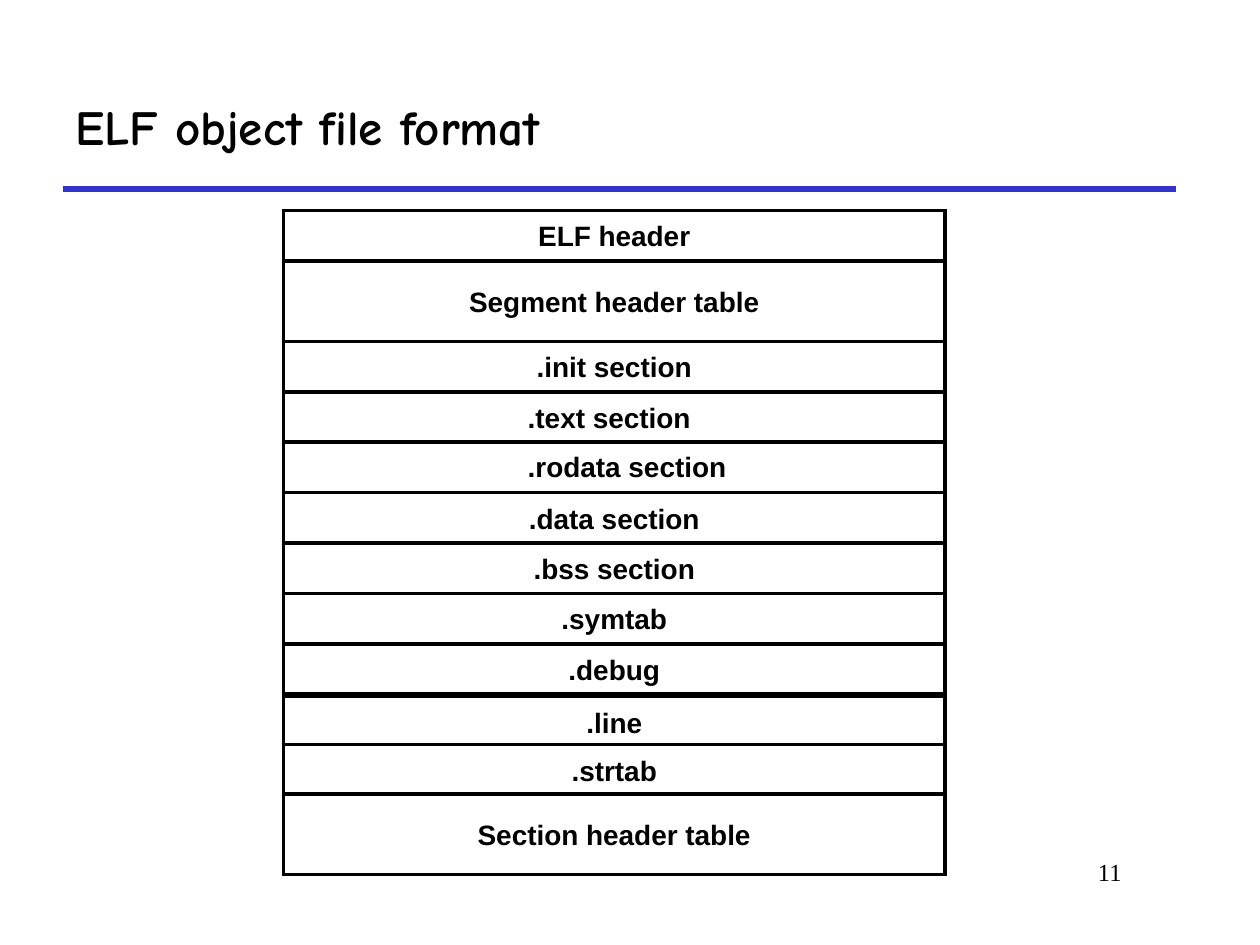
from lxml.etree import SubElement
from pptx import Presentation
from pptx.dml.color import RGBColor
from pptx.enum.shapes import MSO_CONNECTOR as CONN, MSO_SHAPE as SHAPE
from pptx.enum.text import MSO_ANCHOR as ANCHOR, MSO_AUTO_SIZE as FIT, PP_ALIGN as ALIGN
from pptx.oxml.ns import qn
from pptx.util import Inches, Pt

BLACK = RGBColor(0x00, 0x00, 0x00)
WHITE = RGBColor(0xFF, 0xFF, 0xFF)
BLUE = RGBColor(0x33, 0x33, 0xCC)

TITLE_FONT = {"name": "Comic Neue", "size": Pt(28), "bold": True}
ROW_FONT = {"name": "Arial", "size": Pt(16), "bold": True}
NUMBER_FONT = {"name": "Times New Roman", "size": Pt(14), "bold": False}

LEFT, TOP, WIDTH = 2.25, 1.67, 5.25
LOW, HIGH = 0.4, 0.64
ROWS = [
    ("ELF header", LOW, 0),
    ("Segment header table", HIGH, 0),
    (".init section", LOW, 0),
    ("", LOW, 0),
    ("", LOW, 0),
    (".data section", LOW, 0),
    (".bss section", LOW, 0),
    (".symtab", LOW, 0),
    (".debug", LOW, 0),
    (".line", LOW, 0.02),
    (".strtab", LOW, 0),
    ("Section header table", HIGH, -0.01),
]
LABELS = [
    (".rodata section", 3.52, 1.8),
    (".text section", 3.13, 1.5),
]


def set_text(sp, text, font, align=ALIGN.LEFT, anchor=ANCHOR.MIDDLE,
             wrap=True, fit=FIT.NONE):
    tf = sp.text_frame
    tf.word_wrap = wrap
    tf.auto_size = fit
    tf.vertical_anchor = anchor
    p = tf.paragraphs[0]
    p.alignment = align
    r = p.add_run()
    r.text = text
    for key, value in font.items():
        setattr(r.font, key, value)
    r.font.color.rgb = BLACK


def add_text(shapes, box, text, font, **fmt):
    sp = shapes.add_textbox(*map(Inches, box))
    set_text(sp, text, font, **fmt)


def add_row(shapes, top, height, text):
    box = (LEFT, top, WIDTH, height)
    sp = shapes.add_shape(SHAPE.RECTANGLE, *map(Inches, box))
    sp.shadow.inherit = False
    sp.fill.solid()
    sp.fill.fore_color.rgb = WHITE
    sp.line.color.rgb = BLACK
    sp.line.width = Pt(2)
    SubElement(sp.line._get_or_add_ln(), qn("a:miter"), lim="800000")
    if text:
        set_text(sp, text, ROW_FONT, align=ALIGN.CENTER, wrap=False)


def add_rule(shapes, x1, x2, y):
    line = shapes.add_connector(CONN.STRAIGHT, *map(Inches, (x1, y, x2, y)))
    line.line.color.rgb = BLUE
    line.line.width = Pt(3)
    SubElement(line._element.spPr, qn("a:effectLst"))


def add_layout_stack(shapes):
    group = shapes.add_group_shape().shapes
    top = TOP
    for text, height, shift in ROWS:
        add_row(group, top + shift, height, text)
        top += height
    for text, y, width in LABELS:
        add_text(group, (4.09, y, width, 0.37), text, ROW_FONT,
                 anchor=ANCHOR.TOP, wrap=False, fit=FIT.SHAPE_TO_FIT_TEXT)


def main():
    prs = Presentation()
    prs.slide_width, prs.slide_height = Inches(10), Inches(7.5)
    shapes = prs.slides.add_slide(prs.slide_layouts[6]).shapes
    add_rule(shapes, 0.5, 9.33, 1.5)
    add_text(shapes, (7.58, 6.75, 1.42, 0.5), "11", NUMBER_FONT,
             align=ALIGN.RIGHT, anchor=ANCHOR.TOP)
    add_layout_stack(shapes)
    add_text(shapes, (0.5, 0.5, 8.83, 1), "ELF object file format", TITLE_FONT)
    prs.save("out.pptx")


if __name__ == "__main__":
    main()
